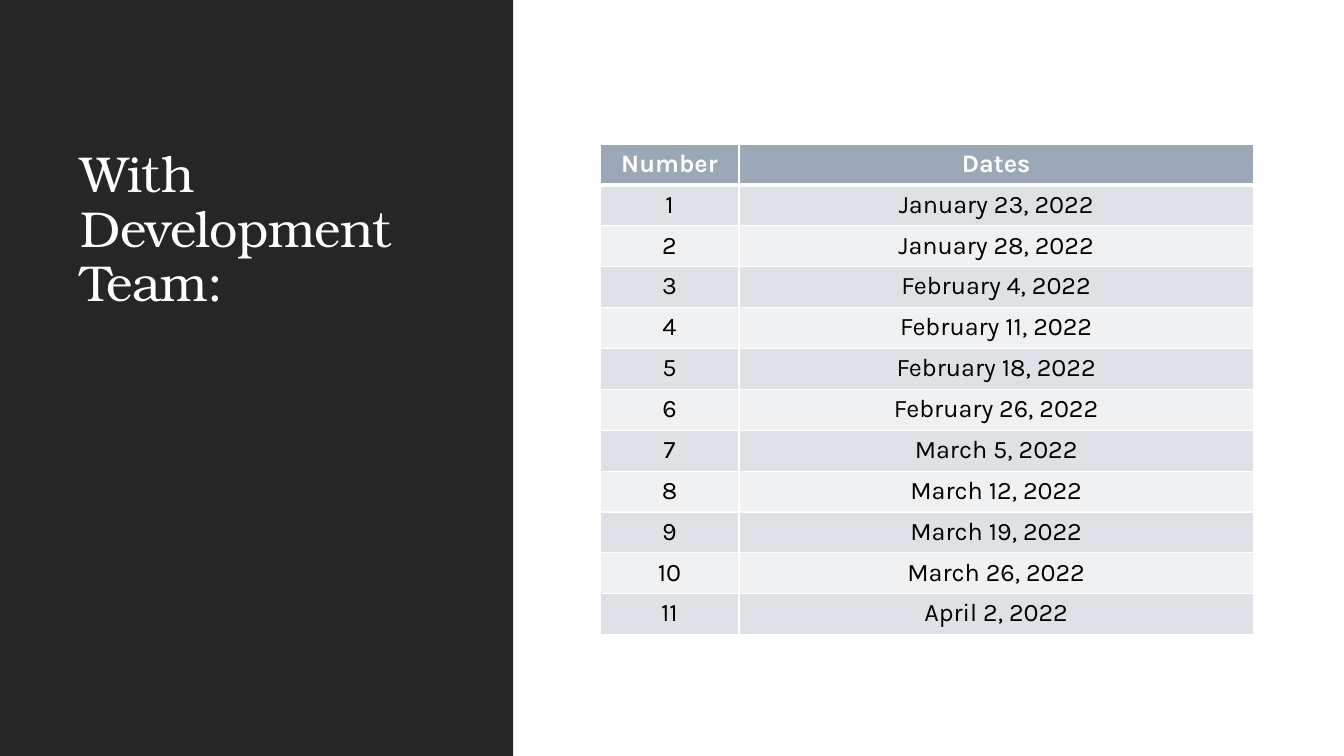
from dataclasses import dataclass

from lxml.etree import SubElement
from pptx import Presentation
from pptx.dml.color import RGBColor as RGB
from pptx.enum.shapes import MSO_SHAPE as Shape
from pptx.enum.text import MSO_ANCHOR as Anchor, PP_ALIGN as Align
from pptx.oxml.ns import qn
from pptx.util import Inches, Pt


@dataclass(frozen=True)
class Theme:
    white: str = "FFFFFF"
    ink: str = "000000"
    panel: str = "262626"
    header: str = "9BA8B7"
    bands: tuple = ("DEE1E6", "EFF1F3")
    title_font: str = "TeX Gyre Bonum"
    body_font: str = "Karla"
    title_size: float = 36
    body_size: float = 18
    rule: float = 1
    header_rule: float = 3


def write(frame, text, *, font, size, color, bold=False,
          align=Align.LEFT, line_spacing=1.0, tracking=0):
    paragraph = frame.paragraphs[0]
    paragraph.alignment = align
    paragraph.line_spacing = line_spacing
    run = paragraph.add_run()
    run.text = text
    run.font.name = font
    run.font.size = Pt(size)
    run.font.bold = bold
    run.font.color.rgb = RGB.from_string(color)
    if tracking:
        run.font._element.set("spc", str(round(tracking * 100)))


class SlideBuilder:
    def __init__(self, slide, theme):
        self.slide = slide
        self.theme = theme

    def title(self, text, left, top, width, height):
        heading = self.slide.shapes.title
        heading.left, heading.top = Inches(left), Inches(top)
        heading.width, heading.height = Inches(width), Inches(height)
        frame = heading.text_frame
        frame.word_wrap = True
        frame.vertical_anchor = Anchor.BOTTOM
        write(frame, text, font=self.theme.title_font,
              size=self.theme.title_size, color=self.theme.white,
              line_spacing=0.9, tracking=-0.5)

    def side_panel(self, width, height):
        panel = self.slide.shapes.add_shape(
            Shape.RECTANGLE, 0, 0, Inches(width), Inches(height))
        panel.shadow.inherit = False
        panel.fill.solid()
        panel.fill.fore_color.rgb = RGB.from_string(self.theme.panel)
        panel.line.fill.background()
        self.slide.shapes.title.element.addprevious(panel.element)

    def borders(self, cell, top, bottom):
        properties = cell._tc.get_or_add_tcPr()
        rule = self.theme.rule
        for side, weight in zip("LRTB", (rule, rule, top, bottom)):
            line = SubElement(properties, qn(f"a:ln{side}"), w=str(Pt(weight)))
            fill = SubElement(line, qn("a:solidFill"))
            SubElement(fill, qn("a:srgbClr"), val=self.theme.white)

    def cell(self, cell, text, row):
        theme = self.theme
        is_header = row == 0
        self.borders(cell,
                     top=theme.header_rule if row == 1 else theme.rule,
                     bottom=theme.header_rule if is_header else theme.rule)
        cell.fill.solid()
        cell.fill.fore_color.rgb = RGB.from_string(
            theme.header if is_header else theme.bands[(row - 1) % 2])
        write(cell.text_frame, text, font=theme.body_font,
              size=theme.body_size, bold=is_header, align=Align.CENTER,
              color=theme.white if is_header else theme.ink)

    def table(self, rows, left, top, column_widths, height):
        table = self.slide.shapes.add_table(
            len(rows), len(column_widths), Inches(left), Inches(top),
            Inches(sum(column_widths)), Inches(height)).table
        for column, width in zip(table.columns, column_widths):
            column.width = Inches(width)
        for row, values in enumerate(rows):
            for column, text in enumerate(values):
                self.cell(table.cell(row, column), text, row)


MEETING_DATES = (
    "January 23, 2022", "January 28, 2022", "February 4, 2022",
    "February 11, 2022", "February 18, 2022", "February 26, 2022",
    "March 5, 2022", "March 12, 2022", "March 19, 2022",
    "March 26, 2022", "April 2, 2022",
)


def main():
    deck = Presentation()
    deck.slide_width, deck.slide_height = Inches(13.33), Inches(7.5)
    title_only = deck.slide_layouts[5]
    builder = SlideBuilder(deck.slides.add_slide(title_only), Theme())
    builder.side_panel(5.09, 7.5)
    builder.title("With Development Team:", 0.7, 0.86, 3.85, 2.29)
    meetings = [("Number", "Dates")]
    meetings += [(str(number), date)
                 for number, date in enumerate(MEETING_DATES, 1)]
    builder.table(meetings, 5.95, 1.43, (1.38, 5.1), 4.87)
    deck.save("out.pptx")


if __name__ == "__main__":
    main()
